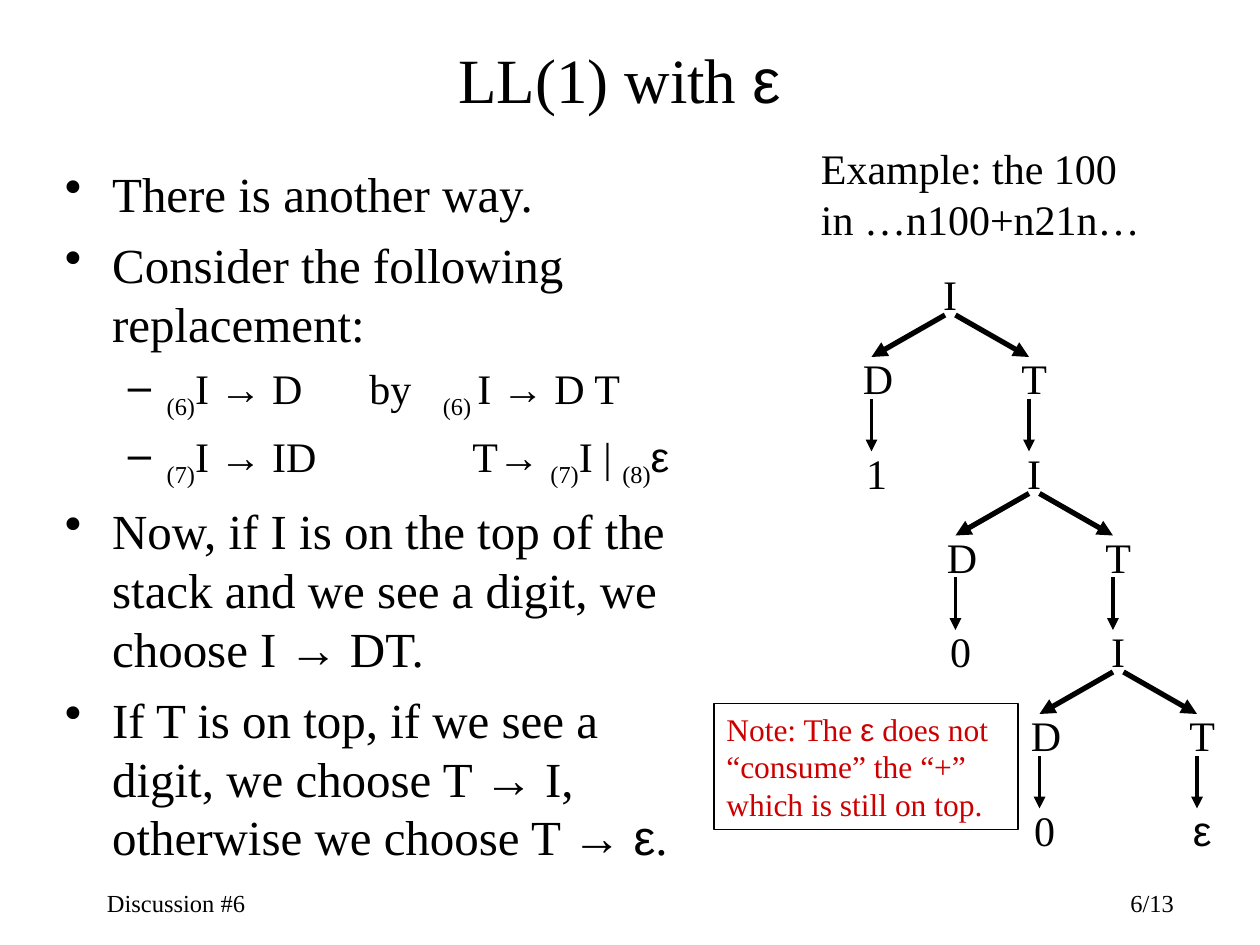
import itertools

import pptx
import pptx.dml.color
import pptx.enum.shapes
import pptx.enum.text
import pptx.oxml
import pptx.oxml.ns
import pptx.util

PX = 7620
SERIF, SANS = "Times New Roman", "Arial"
SYMBOLS = "→ε"
BLACK, RED = "000000", "CC0000"
ALIGN = pptx.enum.text.PP_ALIGN
MIDDLE = pptx.enum.text.MSO_ANCHOR.MIDDLE

TITLE = "LL(1) with ε"
EXAMPLE = "Example: the 100 in …n100+n21n…"
NOTE = "Note: The ε does not “consume” the “+” which is still on top."
FOOTER, PAGE = "Discussion #6", "6/13"
# Underscores enclose subscripts.
BODY = [
    (0, "There is another way.", []),
    (0, "Consider the following replacement:", []),
    (1, "_(6)_I → D\tby\t_(6) _I → D T", [290, 360]),
    (1, "_(7)_I → ID\tT→ _(7)_I | _(8)_ε", [388]),
    (0, "Now, if I is on the top of the stack and we see a digit, we choose I → DT.", []),
    (0, "If T is on top, if we see a digit, we choose T → I, otherwise we choose T → ε.", []),
]
LEVELS = [
    {"bullet": "•", "size": 28, "before": 7, "left": 45, "hang": 45},
    {"bullet": "–", "size": 24, "before": 6, "left": 97, "hang": 37},
]
DIGITS = ["1", "0", "0"]
ROOT, STEP = (880, 250), (80, 170)


def px(length):
    return pptx.util.Emu(length * PX)


def color(value):
    return pptx.dml.color.RGBColor.from_string(value)


def add_xml(parent, tag, content="", **attributes):
    pairs = "".join(f' {key}="{value}"' for key, value in attributes.items())
    namespace = pptx.oxml.ns.nsdecls("a")
    parent.append(pptx.oxml.parse_xml(f"<a:{tag} {namespace}{pairs}>{content}</a:{tag}>"))


def write(paragraph, text, size, ink=BLACK, align=ALIGN.LEFT):
    paragraph.alignment = align
    paragraph.font.size = pptx.util.Pt(size)
    paragraph.font.color.rgb = color(ink)
    mixed = any(symbol in text for symbol in SYMBOLS)
    if not mixed:
        paragraph.font.name = SERIF
    for index, part in enumerate(text.split("_")):
        for symbolic, letters in itertools.groupby(part, lambda letter: letter in SYMBOLS):
            run = paragraph.add_run()
            run.text = "".join(letters)
            if mixed:
                run.font.name = SANS if symbolic else SERIF
            if index % 2:
                run._r.get_or_add_rPr().set("baseline", "-25000")


def add_text(left, top, width, height, text, size, align=ALIGN.LEFT, anchor=None):
    frame = slide.shapes.add_textbox(px(left), px(top), px(width), px(height)).text_frame
    frame.word_wrap = True
    frame.vertical_anchor = anchor
    write(frame.paragraphs[0], text, size, align=align)


def add_body():
    frame = slide.shapes.add_textbox(px(50), px(150), px(628), px(680)).text_frame
    frame.word_wrap = True
    for index, (depth, text, stops) in enumerate(BODY):
        level = LEVELS[depth]
        item = frame.add_paragraph() if index else frame.paragraphs[0]
        item.level = depth
        properties = item._p.get_or_add_pPr()
        properties.set("marL", str(px(level["left"])))
        properties.set("indent", str(-px(level["hang"])))
        add_xml(properties, "buChar", char=level["bullet"])
        if stops:
            tabs = "".join(f'<a:tab pos="{px(stop)}" algn="l"/>' for stop in stops)
            add_xml(properties, "tabLst", tabs)
        item.space_before = pptx.util.Pt(level["before"])
        write(item, text, level["size"])


def add_arrow(start, end, weight):
    arrow = slide.shapes.add_connector(
        pptx.enum.shapes.MSO_CONNECTOR.STRAIGHT, *map(px, start + end))
    arrow.line.color.rgb = color(BLACK)
    arrow.line.width = pptx.util.Pt(weight)
    add_xml(arrow.line._get_or_add_ln(), "tailEnd", type="triangle")
    add_xml(arrow._element.spPr, "effectLst")


def add_symbol(x, y, text):
    add_text(x, y, 50, 60, text, 24, ALIGN.CENTER)


def add_tree():
    add_symbol(*ROOT, "I")
    for depth, digit in enumerate(DIGITS):
        x, y = (start + depth * step for start, step in zip(ROOT, STEP))
        tail = "ε" if depth == len(DIGITS) - 1 else "I"
        branches = [("D", digit, x - 70, x + 20), ("T", tail, x + 80, x + 30)]
        for symbol, child, left, fork in branches:
            add_arrow((fork, y + 50), (left + 20, y + 90), 3)
            add_symbol(left, y + 80, symbol)
            add_arrow((left + 20, y + 130), (left + 20, y + 180), 2.25)
            add_symbol(left, y + 170, child)


def add_note():
    note = slide.shapes.add_shape(
        pptx.enum.shapes.MSO_SHAPE.RECTANGLE, px(680), px(670), px(290), px(120))
    note.shadow.inherit = False
    note.fill.background()
    note.line.color.rgb = color(BLACK)
    note.line.width = pptx.util.Pt(1)
    note.text_frame.word_wrap = True
    note.text_frame.vertical_anchor = pptx.enum.text.MSO_ANCHOR.TOP
    write(note.text_frame.paragraphs[0], NOTE, 18, RED)


deck = pptx.Presentation()
deck.slide_width, deck.slide_height = px(1200), px(900)
slide = deck.slides.add_slide(deck.slide_layouts[6])

add_text(90, 840, 250, 40, FOOTER, 14)
add_text(880, 840, 250, 40, PAGE, 14, ALIGN.RIGHT)
add_text(80, 40, 1020, 70, TITLE, 36, ALIGN.CENTER, MIDDLE)
add_body()
add_tree()
add_note()
add_text(770, 130, 340, 108, EXAMPLE, 24)

deck.save("out.pptx")
